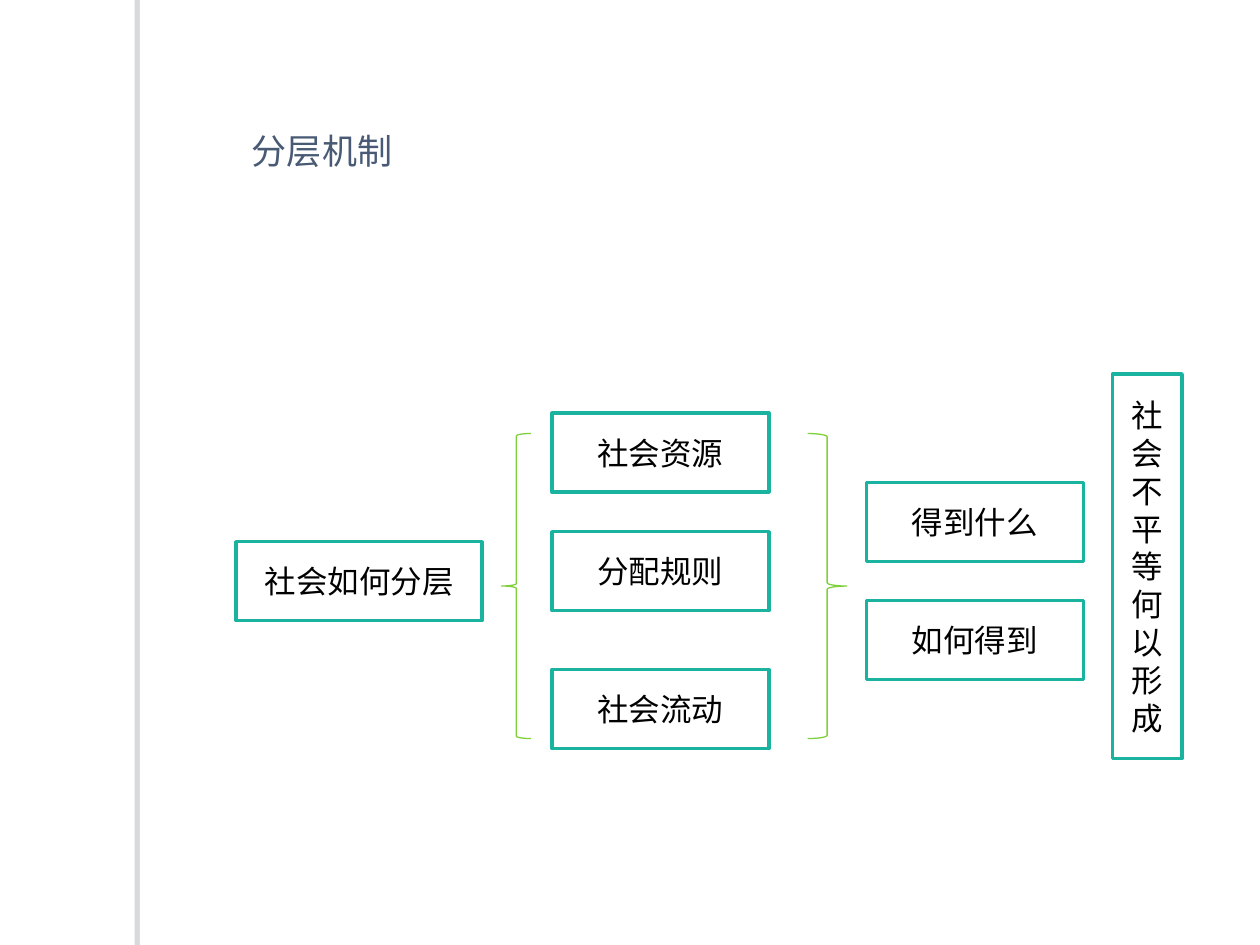
"""Build the slide on the mechanism of social stratification."""
from lxml import etree
from pptx import Presentation
from pptx.dml.color import RGBColor
from pptx.enum.shapes import MSO_SHAPE
from pptx.enum.text import MSO_ANCHOR, PP_ALIGN
from pptx.oxml.ns import qn
from pptx.util import Cm, Pt

RECTANGLE = MSO_SHAPE.RECTANGLE
LEFT_BRACE = MSO_SHAPE.LEFT_BRACE
RIGHT_BRACE = MSO_SHAPE.RIGHT_BRACE
MIDDLE = MSO_ANCHOR.MIDDLE
CENTER = PP_ALIGN.CENTER
CJK_FONT = "Noto Sans CJK SC"


def color(value):
    return RGBColor.from_string(value)


def write(shape, text, font_name, size, text_color, alignment=None):
    frame = shape.text_frame
    frame.word_wrap = True
    frame.vertical_anchor = MIDDLE
    paragraph = frame.paragraphs[0]
    paragraph.alignment = alignment
    run = paragraph.add_run()
    run.text = text
    run.font.name = font_name
    run.font.size = Pt(size)
    run.font.color.rgb = color(text_color)
    east_asian = etree.SubElement(run.font._element, qn("a:ea"))
    east_asian.set("typeface", CJK_FONT)


presentation = Presentation()
presentation.slide_width = Cm(25.4)
presentation.slide_height = Cm(19.05)
slide = presentation.slides.add_slide(presentation.slide_layouts[6])

bar = slide.shapes.add_shape(RECTANGLE, Cm(2.82), 0, Cm(0.2), Cm(19.05))
bar.fill.solid()
bar.fill.fore_color.rgb = color("FFFFFF")
bar.line.fill.background()
effects = etree.SubElement(bar._element.spPr, qn("a:effectLst"))
shadow = etree.SubElement(effects, qn("a:outerShdw"), blurRad="0", dist=str(Pt(3)),
                          dir="10800000", algn="tl", rotWithShape="0")
shadow_color = etree.SubElement(shadow, qn("a:srgbClr"), val="66727D")
etree.SubElement(shadow_color, qn("a:alpha"), val="25000")

title = slide.shapes.add_textbox(Cm(4.83), Cm(0.99), Cm(20.57), Cm(4.09))
write(title, "分层机制", CJK_FONT, 20, "495A74")

for brace_type, left, width in [(LEFT_BRACE, 10.11, 0.6), (RIGHT_BRACE, 16.28, 0.79)]:
    brace = slide.shapes.add_shape(brace_type, Cm(left), Cm(8.74), Cm(width), Cm(6.15))
    brace.shadow.inherit = False
    brace.fill.background()
    brace.line.color.rgb = color("7FD13B")
    brace.line.width = Pt(0.75)

boxes = [
    ("社会如何分层", 4.76, 10.92, 4.96, 1.59),
    ("社会资源", 11.13, 8.33, 4.37, 1.59),
    ("分配规则", 11.13, 10.72, 4.37, 1.59),
    ("社会流动", 11.13, 13.5, 4.37, 1.59),
    ("得到什么", 17.47, 9.73, 4.37, 1.59),
    ("如何得到", 17.47, 12.11, 4.37, 1.59),
    ("社会不平等何以形成", 22.43, 7.54, 1.4, 7.75),
]
for text, left, top, width, height in boxes:
    box = slide.shapes.add_shape(RECTANGLE, Cm(left), Cm(top), Cm(width), Cm(height))
    box.shadow.inherit = False
    box.fill.solid()
    box.fill.fore_color.rgb = color("FFFFFF")
    box.line.color.rgb = color("1AB39F")
    box.line.width = Pt(2)
    write(box, text, "Calibri", 18, "000000", CENTER)

presentation.save("out.pptx")
